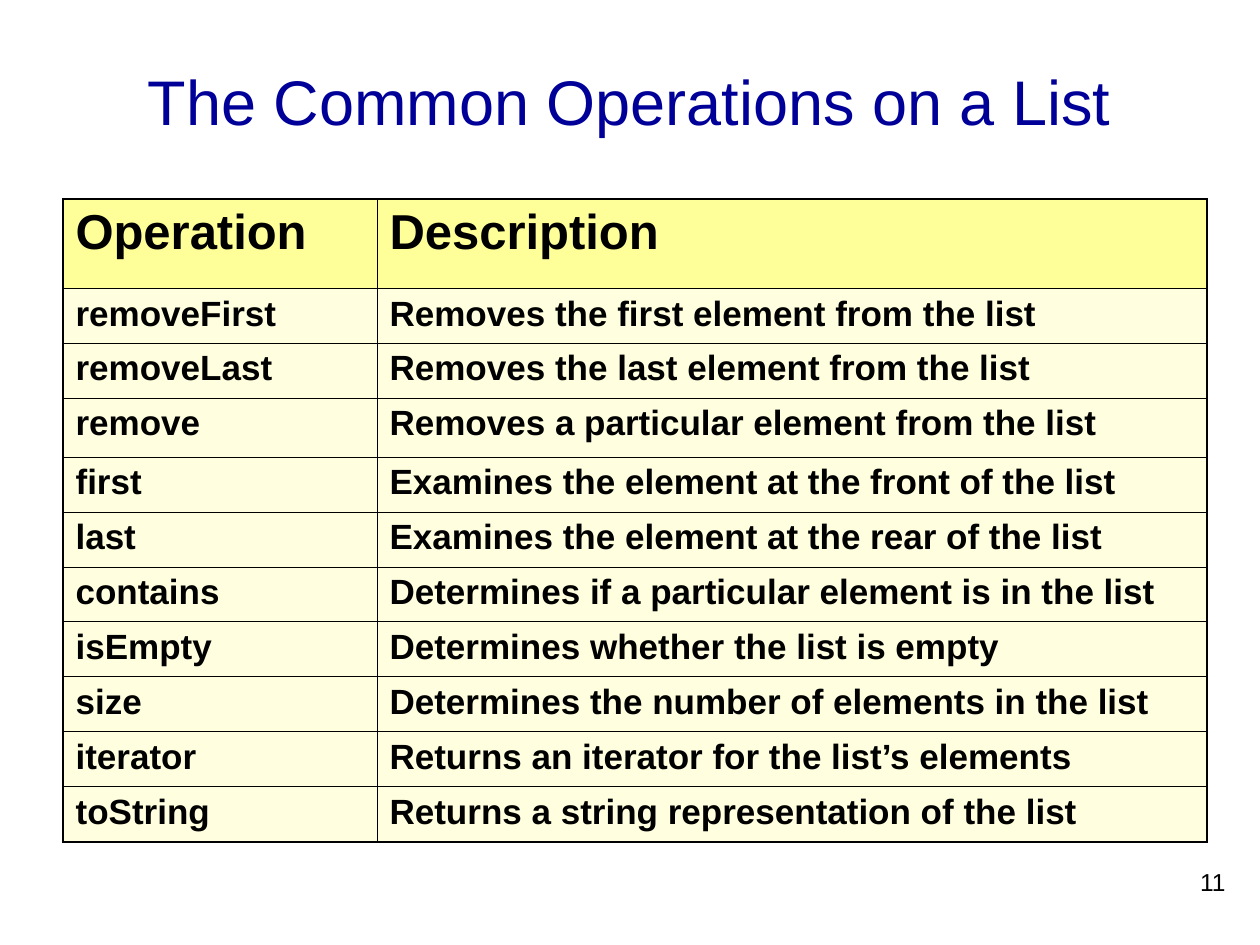
from lxml.etree import SubElement
from pptx import Presentation
from pptx.dml.color import RGBColor
from pptx.enum.text import MSO_ANCHOR as Anchor, PP_ALIGN as Align
from pptx.oxml.ns import qn
from pptx.util import Pt

SCALE = 914400 / 126
FONT = "Arial"
NAVY = RGBColor(0x00, 0x00, 0x99)
BLACK = RGBColor(0x00, 0x00, 0x00)
YELLOW = RGBColor(0xFF, 0xFF, 0x99)
CREAM = RGBColor(0xFF, 0xFF, 0xDF)
THIN, THICK = Pt(0.45), Pt(1.08)
COLS = [314, 830]
HEAD, ROW, TALL = 89, 55, 59
TALL_OP = "remove"
ROWS = [
    ("Operation", "Description"),
    ("removeFirst", "Removes the first element from the list"),
    ("removeLast", "Removes the last element from the list"),
    ("remove", "Removes a particular element from the list"),
    ("first", "Examines the element at the front of the list"),
    ("last", "Examines the element at the rear of the list"),
    ("contains", "Determines if a particular element is in the list"),
    ("isEmpty", "Determines whether the list is empty"),
    ("size", "Determines the number of elements in the list"),
    ("iterator", "Returns an iterator for the list’s elements"),
    ("toString", "Returns a string representation of the list"),
]


def px(n):
    return round(n * SCALE)


def add_run(para, text, size, color, bold=False):
    run = para.add_run()
    run.text = text
    font = run.font
    font.name, font.size, font.bold = FONT, Pt(size), bold
    font.color.rgb = color


def add_text(slide, box, text, size, color, align, anchor):
    frame = slide.shapes.add_textbox(*map(px, box)).text_frame
    frame.word_wrap = True
    frame.vertical_anchor = anchor
    para = frame.paragraphs[0]
    para.alignment = align
    add_run(para, text, size, color)


def add_edge(cell, tag, width):
    line = SubElement(cell._tc.get_or_add_tcPr(), qn(tag), w=str(width))
    fill = SubElement(line, qn("a:solidFill"))
    SubElement(fill, qn("a:srgbClr"), val=str(BLACK))


def fill_cell(cell, text, row, col):
    head = row == 0
    outer = {
        "a:lnL": col == 0,
        "a:lnR": col == len(COLS) - 1,
        "a:lnT": head,
        "a:lnB": row == len(ROWS) - 1,
    }
    for tag, edge in outer.items():
        add_edge(cell, tag, THICK if edge else THIN)
    cell.fill.solid()
    cell.fill.fore_color.rgb = YELLOW if head else CREAM
    para = cell.text_frame.paragraphs[0]
    add_run(para, text, 28 if head else 20, BLACK, True)


def add_grid(slide, left, top):
    highs = [HEAD] + [TALL if op == TALL_OP else ROW for op, _ in ROWS[1:]]
    box = map(px, (left, top, sum(COLS), sum(highs)))
    table = slide.shapes.add_table(len(ROWS), len(COLS), *box).table
    table.horz_banding = False
    for col, wide in zip(table.columns, COLS):
        col.width = px(wide)
    for r, (high, texts) in enumerate(zip(highs, ROWS)):
        table.rows[r].height = px(high)
        for c, text in enumerate(texts):
            fill_cell(table.cell(r, c), text, r, c)


def main():
    deck = Presentation()
    deck.slide_width, deck.slide_height = px(1260), px(945)
    slide = deck.slides.add_slide(deck.slide_layouts[6])
    add_text(slide, (94, 21, 1071, 158), "The Common Operations on a List",
             36, NAVY, Align.CENTER, Anchor.MIDDLE)
    add_grid(slide, 63, 199)
    add_text(slide, (976, 861, 262, 63), "11", 14, BLACK,
             Align.RIGHT, Anchor.TOP)
    deck.save("out.pptx")


if __name__ == "__main__":
    main()
